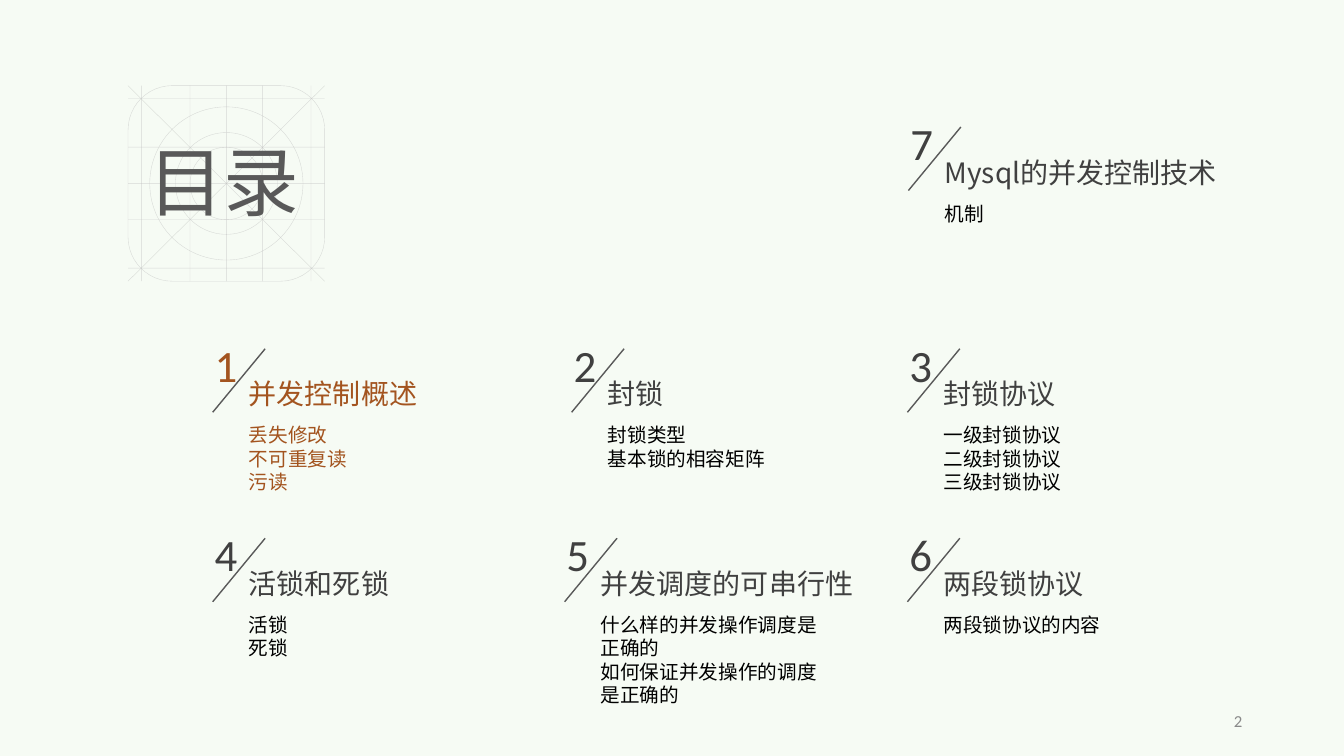
from lxml.etree import SubElement
from pptx import Presentation
from pptx.dml.color import RGBColor
from pptx.enum.shapes import MSO_CONNECTOR as Conn, MSO_SHAPE as Shape
from pptx.enum.text import MSO_ANCHOR as Anchor, PP_ALIGN as Align
from pptx.oxml.ns import qn
from pptx.util import Inches, Pt

HAN, LATIN = "Noto Sans CJK SC", "Calibri"
BACKDROP, DARK, SLATE, ACCENT, BLACK = "F6FBF4", "404040", "595959", "A3541F", "000000"
GUIDE, PAGE_GREY = "BFBFBF", "898989"

NUMBER = {"name": LATIN, "size": Pt(32)}
TITLE = {"name": HAN, "size": Pt(20)}
TOPIC = {"name": HAN, "size": Pt(14)}
HEADING = {"name": HAN, "size": Pt(54)}
PAGE = {"name": LATIN, "size": Pt(12)}

COLUMNS = (2.03, 5.59, 8.92)
ROWS = (3.3, 5.18)
SECTIONS = [
    (COLUMNS[0], ROWS[0], 2.26, "并发控制概述", ["丢失修改", "不可重复读", "污读"], 4),
    (COLUMNS[1], ROWS[0], 2.26, "封锁", ["封锁类型", "基本锁的相容矩阵"], 2),
    (COLUMNS[2], ROWS[0], 2.26, "封锁协议", ["一级封锁协议", "二级封锁协议", "三级封锁协议"], 3),
    (COLUMNS[0], ROWS[1], 2.26, "活锁和死锁", ["活锁", "死锁"], 2),
    (5.52, ROWS[1], 2.79, "并发调度的可串行性",
     ["什么样的并发操作调度是正确的", "如何保证并发操作的调度是正确的"], 4),
    (COLUMNS[2], ROWS[1], 3.06, "两段锁协议", ["两段锁协议的内容"], 1),
    (8.93, 1.1, 3.65, "Mysql的并发控制技术", ["机制"], 1),
]


def color(value):
    return RGBColor.from_string(value)


def add_text(slide, box, lines, style, ink, align=Align.LEFT, anchor=Anchor.TOP):
    frame = slide.shapes.add_textbox(*map(Inches, box)).text_frame
    frame.word_wrap = True
    frame.vertical_anchor = anchor
    for index, line in enumerate(lines):
        paragraph = frame.paragraphs[0] if index == 0 else frame.add_paragraph()
        paragraph.alignment = align
        run = paragraph.add_run()
        run.text = line
        for key, value in style.items():
            setattr(run.font, key, value)
        run.font.color.rgb = color(ink)
        SubElement(run.font._element, qn("a:ea"), typeface=style["name"])


def style_line(line, ink, width, opacity=100):
    line.color.rgb = color(ink)
    line.width = Pt(width)
    if opacity < 100:
        ink_element = line._ln.find(".//" + qn("a:srgbClr"))
        SubElement(ink_element, qn("a:alpha"), val=str(opacity * 1000))


def add_line(shapes, start, end, ink, width, opacity=100):
    stroke = shapes.add_connector(Conn.STRAIGHT, *map(Inches, (*start, *end)))
    style_line(stroke.line, ink, width, opacity)
    SubElement(stroke._element.spPr, qn("a:effectLst"))


def add_outline(shapes, kind, box):
    outline = shapes.add_shape(kind, *map(Inches, box))
    outline.shadow.inherit = False
    outline.fill.background()
    style_line(outline.line, GUIDE, 0.25, 56)
    return outline


def add_heading(slide, left, top, width, height):
    guides = slide.shapes.add_group_shape().shapes
    center_x, center_y = left + width / 2, top + height / 2
    right, bottom = left + width, top + height
    for diameter in (1.52, 1.01, 0.72):
        radius = diameter / 2
        add_outline(guides, Shape.OVAL,
                    (center_x - radius, center_y - radius, diameter, diameter))
    frame = add_outline(guides, Shape.ROUNDED_RECTANGLE, (left, top, width, height))
    frame.adjustments[0] = 0.226
    strokes = [((left, top), (right, bottom)), ((left, bottom), (right, top))]
    for offset in (-0.84, -0.36, 0, 0.36, 0.84):
        x, y = center_x + offset, center_y + offset
        strokes += [((x, top), (x, bottom)), ((left, y), (right, y))]
    for start, end in strokes:
        add_line(guides, start, end, GUIDE, 0.25, 56)
    add_text(slide, (left + 0.1, top + 0.44, 1.78, 1), ["目录"], HEADING, SLATE)


def add_section(slide, number, left, top, width, title, topics, rows):
    current = number == 1
    title_ink, topic_ink = (ACCENT, ACCENT) if current else (DARK, BLACK)
    add_text(slide, (left, top, 0.45, 0.64), [str(number)], NUMBER, title_ink)
    add_line(slide.shapes, (left + 0.6, top + 0.16), (left + 0.08, top + 0.79), SLATE, 1)
    add_text(slide, (left + 0.34, top + 0.39, width, 0.44), [title], TITLE, title_ink)
    add_text(slide, (left + 0.34, top + 0.85, 2.53, 0.1 + 0.235 * rows),
             topics, TOPIC, topic_ink)


def add_page_number(slide, left, top, width, height):
    add_text(slide, (left, top, width, height), ["2"], PAGE, PAGE_GREY,
             Align.RIGHT, Anchor.MIDDLE)


def main():
    deck = Presentation()
    deck.slide_width, deck.slide_height = Inches(13.33), Inches(7.5)
    slide = deck.slides.add_slide(deck.slide_layouts[6])
    slide.background.fill.solid()
    slide.background.fill.fore_color.rgb = color(BACKDROP)
    add_heading(slide, 1.27, 0.85, 1.95, 1.94)
    for number, section in enumerate(SECTIONS, 1):
        add_section(slide, number, *section)
    add_page_number(slide, 9.42, 6.95, 3, 0.4)
    deck.save("out.pptx")


if __name__ == "__main__":
    main()
